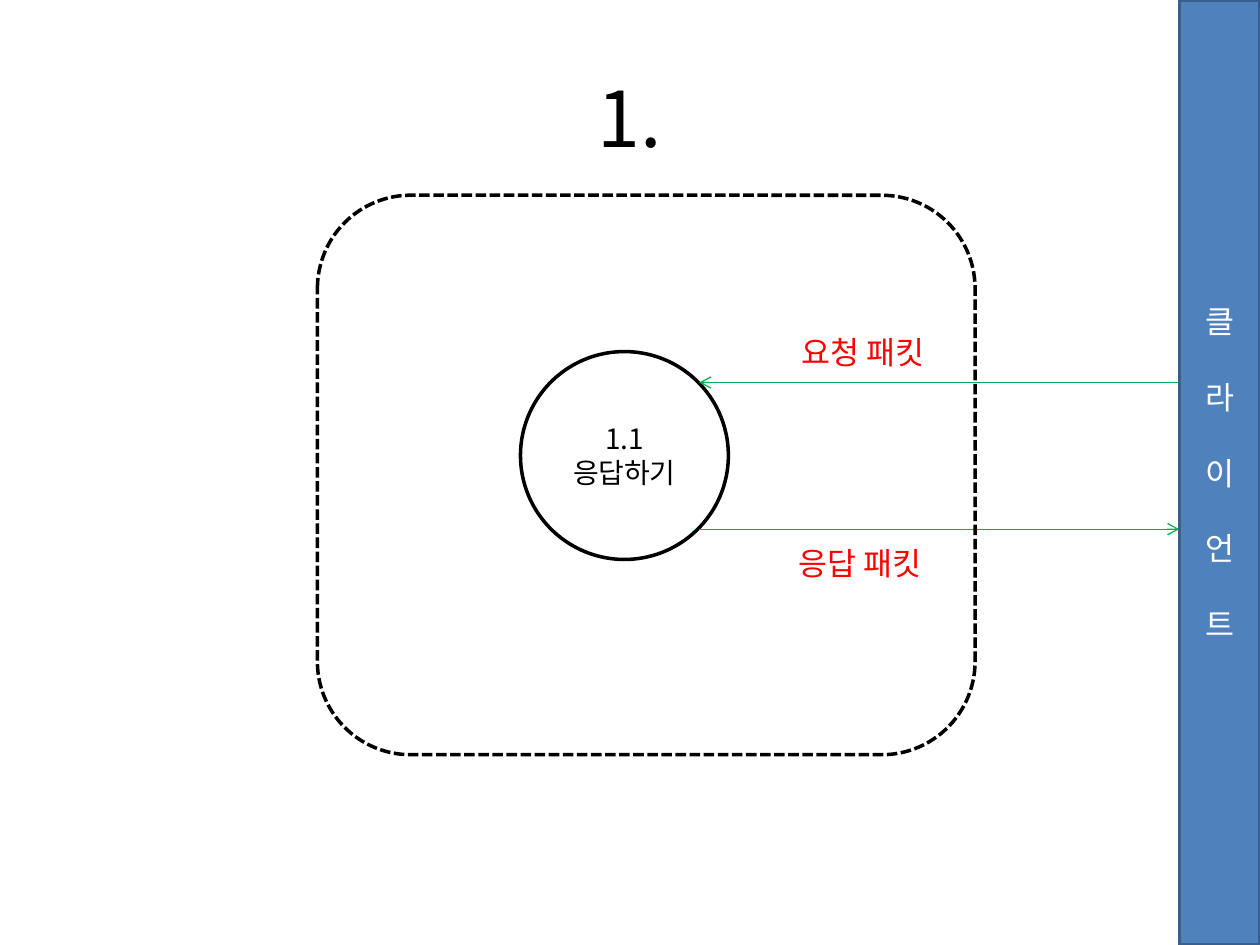
from dataclasses import dataclass

from lxml import etree
from pptx import Presentation
from pptx.dml.color import RGBColor
from pptx.enum.dml import MSO_LINE
from pptx.enum.shapes import MSO_CONNECTOR, MSO_SHAPE
from pptx.enum.text import MSO_ANCHOR, PP_ALIGN
from pptx.oxml.ns import qn
from pptx.util import Pt

ELLIPSE, ROUNDED, RECTANGLE = MSO_SHAPE.OVAL, MSO_SHAPE.ROUNDED_RECTANGLE, MSO_SHAPE.RECTANGLE
STRAIGHT = MSO_CONNECTOR.STRAIGHT
LEFT, CENTER = PP_ALIGN.LEFT, PP_ALIGN.CENTER
TOP, MIDDLE = MSO_ANCHOR.TOP, MSO_ANCHOR.MIDDLE
SYSTEM_DASH = MSO_LINE.SQUARE_DOT
TITLE_ONLY = 5


@dataclass(frozen=True)
class Theme:
    font: str = "Noto Sans CJK KR"
    black: str = "000000"
    white: str = "FFFFFF"
    label: str = "FF0000"
    flow: str = "00B050"
    client: str = "4F81BD"
    client_edge: str = "3A5F8C"
    title_size: float = 44
    body_size: float = 18
    process_size: float = 16
    outline: float = 2
    flow_width: float = 0.75


THEME = Theme()


def rgb(value):
    return RGBColor.from_string(value)


def write(shape, lines, size, color, align=CENTER, anchor=MIDDLE, **spacing):
    """Put one paragraph per line; spacing holds paragraph attributes."""
    frame = shape.text_frame
    frame.word_wrap = True
    frame.vertical_anchor = anchor
    frame.text = "\n".join(lines)
    for para in frame.paragraphs:
        for name, value in {"alignment": align, **spacing}.items():
            setattr(para, name, value)
        for span in para.runs:
            for name, value in {"name": THEME.font, "size": Pt(size)}.items():
                setattr(span.font, name, value)
            span.font.color.rgb = rgb(color)
            east_asian = etree.SubElement(span.font._element, qn("a:ea"))
            east_asian.set("typeface", THEME.font)


def add_node(page, kind, bounds, edge, fill=None, dash=None):
    node = page.shapes.add_shape(kind, *map(Pt, bounds))
    node.shadow.inherit = False
    if fill:
        node.fill.solid()
        node.fill.fore_color.rgb = rgb(fill)
    else:
        node.fill.background()
    node.line.color.rgb = rgb(edge)
    node.line.width = Pt(THEME.outline)
    if dash:
        node.line.dash_style = dash
    return node


def add_label(page, text, left, top):
    box = page.shapes.add_textbox(Pt(left), Pt(top), Pt(108), Pt(29))
    write(box, [text], THEME.body_size, THEME.label, LEFT, TOP, line_spacing=Pt(21.6))


def add_flow(page, start, end, y):
    """Draw a horizontal arrow pointing at end."""
    flow = page.shapes.add_connector(STRAIGHT, Pt(start), Pt(y), Pt(end), Pt(y))
    flow.line.color.rgb = rgb(THEME.flow)
    flow.line.width = Pt(THEME.flow_width)
    outline = flow._element.spPr.find(qn("a:ln"))
    etree.SubElement(outline, qn("a:tailEnd")).set("type", "arrow")
    etree.SubElement(flow._element.spPr, qn("a:effectLst"))


def main():
    deck = Presentation()
    deck.slide_width, deck.slide_height = Pt(720), Pt(540)
    page = deck.slides.add_slide(deck.slide_layouts[TITLE_ONLY])

    process = add_node(page, ELLIPSE, (297.4, 200.9, 118.8, 118.8), THEME.black, THEME.white)
    write(process, ["1.1", "응답하기"], THEME.process_size, THEME.black, line_spacing=Pt(19.2))
    for side in ("left", "top", "right", "bottom"):
        setattr(process.text_frame, f"margin_{side}", Pt(2.88))

    title = page.shapes.title
    title.left, title.top, title.width, title.height = map(Pt, (36, 21.6, 648, 90))
    write(title, ["1."], THEME.title_size, THEME.black)

    add_label(page, "요청 패킷", 450.7, 186.5)
    add_label(page, "응답 패킷", 449.3, 307.4)

    process_edge, client_left = 399.6, 673.9
    add_flow(page, client_left, process_edge, 218.6)
    add_flow(page, process_edge, client_left, 302.4)

    add_node(page, ROUNDED, (181.4, 111.6, 375.8, 319.7), THEME.black, dash=SYSTEM_DASH)
    client = add_node(page, RECTANGLE, (client_left, 0, 46.1, 540),
                      THEME.client_edge, THEME.client)
    write(client, list("클라이언트"), THEME.body_size, THEME.white, line_spacing=Pt(21.6))
    for para in client.text_frame.paragraphs[1:]:
        para.space_before = Pt(21.6)

    deck.save("out.pptx")


if __name__ == "__main__":
    main()
